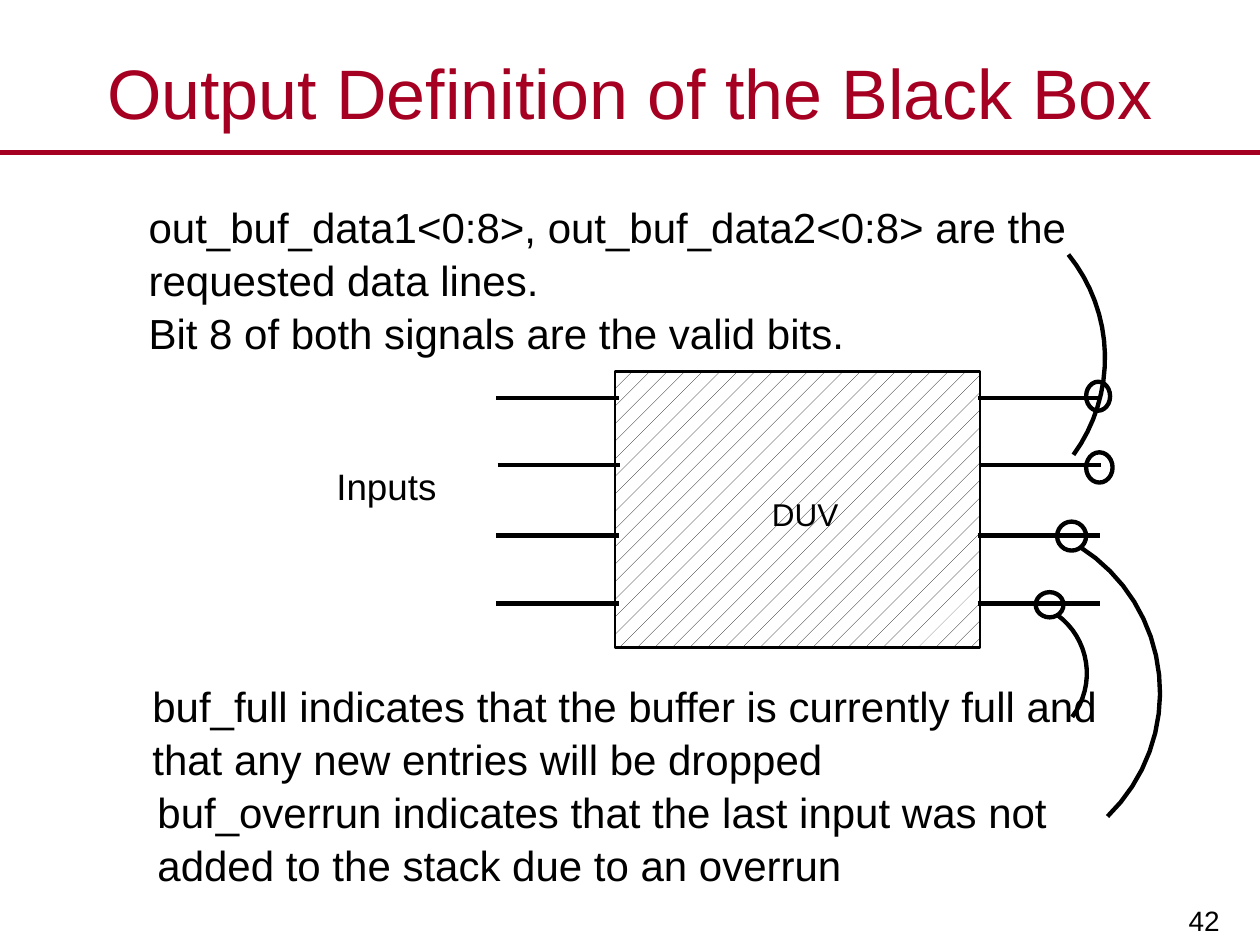
from dataclasses import dataclass
from math import atan2, cos, hypot, pi, sin

from lxml.etree import SubElement
from pptx import Presentation
from pptx.dml.color import RGBColor as RGB
from pptx.enum.dml import MSO_PATTERN
from pptx.enum.shapes import MSO_CONNECTOR, MSO_SHAPE
from pptx.enum.text import MSO_ANCHOR as Anchor, PP_ALIGN as Align
from pptx.oxml.ns import qn
from pptx.util import Inches, Pt

PX = Inches(0.01)  # 100 px to the inch
ARC_STEPS = 16


@dataclass(frozen=True)
class Theme:
    font: str = "Arial"
    accent: RGB = RGB(0xA5, 0x00, 0x21)
    ink: RGB = RGB(0, 0, 0)
    paper: RGB = RGB(255, 255, 255)
    title: int = 40
    body: int = 24
    inputs: int = 21
    block: int = 18
    number: int = 16
    rule: float = 3
    wire: float = 2.5
    border: float = 1.5


T = Theme()


def emu(*lengths):
    return [n * PX for n in lengths]


def set_text(tf, lines, size, color=T.ink, align=Align.LEFT, anchor=Anchor.TOP,
             insets=(0, 0), spacing=None):
    tf.word_wrap = True
    tf.vertical_anchor = anchor
    tf.margin_left = tf.margin_right = insets[0] * PX
    tf.margin_top = tf.margin_bottom = insets[1] * PX
    for i, line in enumerate(lines):
        p = tf.paragraphs[0] if i == 0 else tf.add_paragraph()
        p.text = line
        p.alignment = align
        p.line_spacing = spacing
        p.font.name, p.font.size, p.font.color.rgb = T.font, Pt(size), color


def add_text(slide, box, lines, size, **style):
    tb = slide.shapes.add_textbox(*emu(*box))
    set_text(tb.text_frame, lines, size, **style)


def add_line(slide, x1, y1, x2, y2, color=T.ink, width=T.wire):
    c = slide.shapes.add_connector(MSO_CONNECTOR.STRAIGHT, *emu(x1, y1, x2, y2))
    c.line.color.rgb, c.line.width = color, Pt(width)
    SubElement(c._element.spPr, qn("a:effectLst"))


def outline(sp, width=T.wire):
    sp.shadow.inherit = False
    sp.line.color.rgb, sp.line.width = T.ink, Pt(width)


def arc_points(start, mid, end):
    """Points along the circle through three points."""
    (ax, ay), (bx, by), (cx, cy) = start, mid, end
    d = 2 * (ax * (by - cy) + bx * (cy - ay) + cx * (ay - by))
    a2, b2, c2 = ax**2 + ay**2, bx**2 + by**2, cx**2 + cy**2
    ox = (a2 * (by - cy) + b2 * (cy - ay) + c2 * (ay - by)) / d
    oy = (a2 * (cx - bx) + b2 * (ax - cx) + c2 * (bx - ax)) / d
    r = hypot(ax - ox, ay - oy)
    first, last = (atan2(y - oy, x - ox) for x, y in (start, end))
    sweep = (last - first + pi) % (2 * pi) - pi
    angles = [first + sweep * i / ARC_STEPS for i in range(ARC_STEPS + 1)]
    return [(ox + r * cos(a), oy + r * sin(a)) for a in angles]


def add_arc(slide, start, mid, end):
    points = [(round(x * PX), round(y * PX)) for x, y in arc_points(start, mid, end)]
    fb = slide.shapes.build_freeform(*points[0])
    fb.add_line_segments(points[1:], close=False)
    sp = fb.convert_to_shape()
    sp.fill.background()
    outline(sp)


def add_ring(slide, box):
    sp = slide.shapes.add_shape(MSO_SHAPE.OVAL, *emu(*box))
    sp.fill.background()
    outline(sp)


def add_header(slide, box):
    """Title with a rule below it."""
    x, y, w, h = box
    title = slide.shapes.title
    title.left, title.top, title.width, title.height = emu(*box)
    set_text(title.text_frame, ["Output Definition of the Black Box"], T.title,
             color=T.accent, align=Align.CENTER, anchor=Anchor.MIDDLE, insets=(10, 5))
    add_line(slide, x, y + h + 5, x + w, y + h + 5, T.accent, T.rule)


def add_block(slide, box):
    """Hatched block with its input and output wires."""
    x, y, w, h = box
    sp = slide.shapes.add_shape(MSO_SHAPE.RECTANGLE, *emu(*box))
    sp.fill.patterned()
    sp.fill.pattern = MSO_PATTERN.PERCENT_5
    sp.fill.fore_color.rgb, sp.fill.back_color.rgb = T.ink, T.paper
    outline(sp, T.border)
    add_text(slide, (x + 27, y + 32, 248, 161), ["DUV"], T.block,
             align=Align.CENTER, anchor=Anchor.MIDDLE)
    add_text(slide, (x - 221, y + 73, 87, 34), ["Inputs"], T.inputs)
    for left in (x - 94, x + w - 2):
        for dx, dy in ((0, 21), (1, 74), (0, 130), (0, 184)):
            add_line(slide, left + dx, y + dy, left + dx + 97, y + dy)


def add_callouts(slide, box):
    """Rings on the output wires, and arcs leading to the notes."""
    x, y, _, _ = box
    rings = ((374, 64, 21, 24), (351, 119, 23, 23),
             (334, 175, 22, 20), (374, 8, 19, 23))
    arcs = (((364, 66), (389, -14), (360, -93)),
            ((391, 353), (432, 241), (369, 139)),
            ((363, 274), (374, 231), (351, 193)))
    for dx, dy, w, h in rings:
        add_ring(slide, (x + dx, y + dy, w, h))
    for arc in arcs:
        add_arc(slide, *((x + dx, y + dy) for dx, dy in arc))


def add_notes(slide):
    """Signal descriptions above and below the block."""
    notes = (
        ((118, 158, 797, 115),
         ["out_buf_data1<0:8>, out_buf_data2<0:8> are the requested data lines.",
          "Bit 8 of both signals are the valid bits."]),
        ((121, 538, 753, 77),
         ["buf_full indicates that the buffer is currently full and "
          "that any new entries will be dropped"]),
        ((125, 622, 784, 77),
         ["buf_overrun indicates that the last input was not "
          "added to the stack due to an overrun"]),
    )
    for box, lines in notes:
        add_text(slide, box, lines, T.body, spacing=1.05)


def main():
    prs = Presentation()
    prs.slide_width, prs.slide_height = emu(1000, 750)
    slide = prs.slides.add_slide(prs.slide_layouts[5])
    block = (488, 295, 290, 219)
    add_header(slide, (0, 30, 1000, 86))
    add_block(slide, block)
    add_callouts(slide, block)
    add_notes(slide)
    # Slide number
    add_text(slide, (780, 693, 199, 57), ["42"], T.number,
             align=Align.RIGHT, anchor=Anchor.BOTTOM, insets=(11, 6))
    prs.save("out.pptx")


if __name__ == "__main__":
    main()
